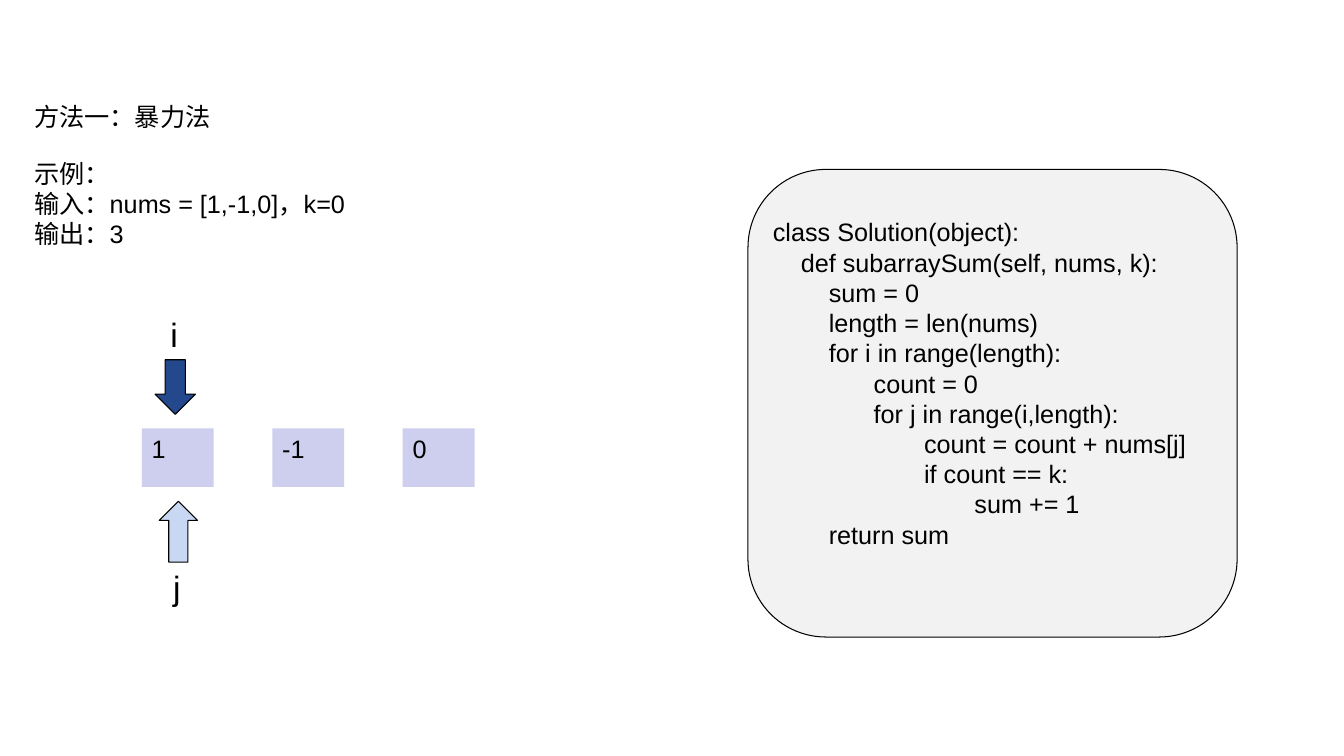
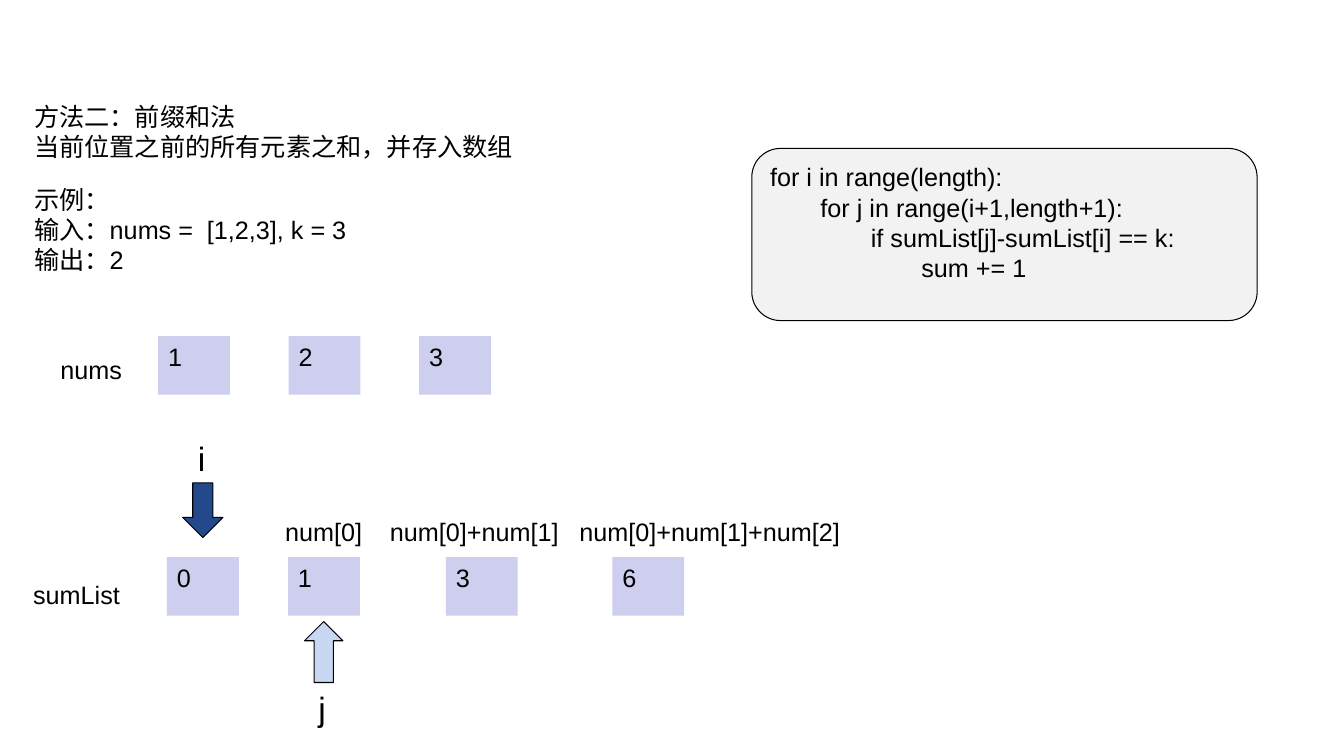
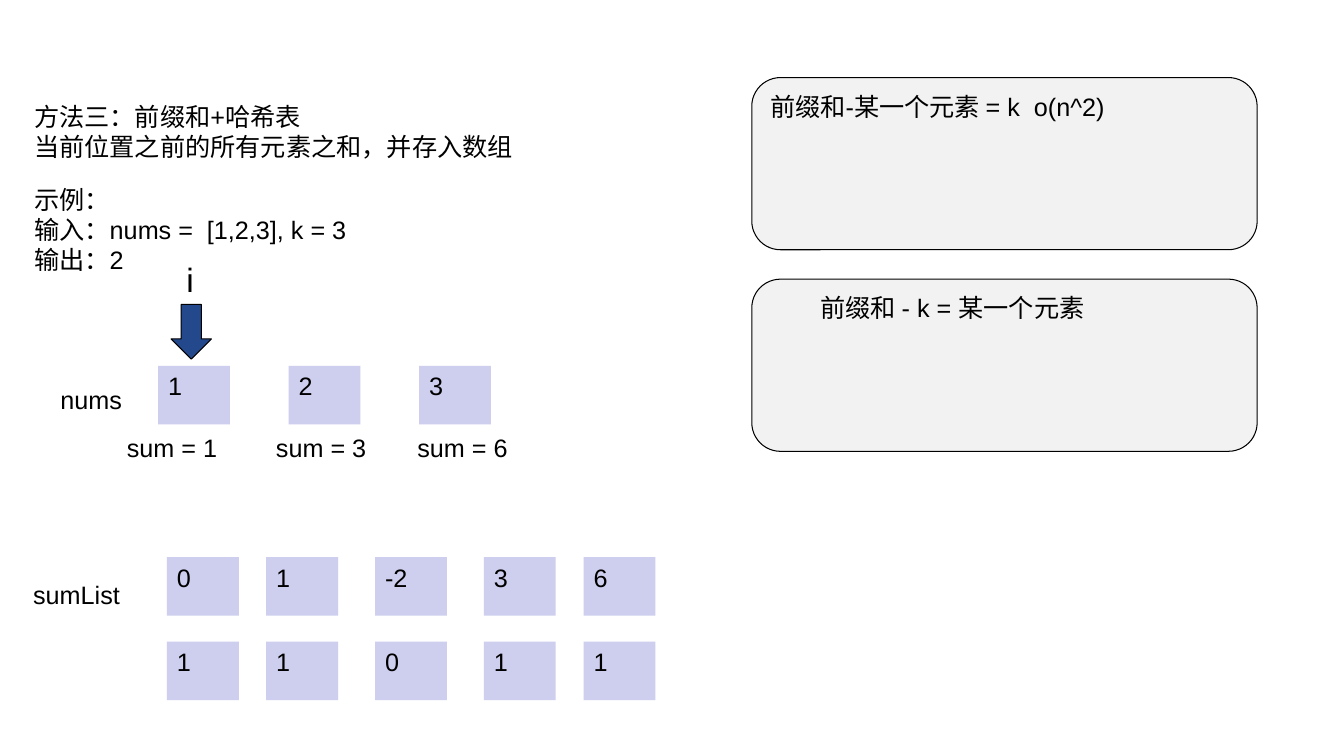
"""Build three slides that explain subarray sums."""
from collections.abc import Sequence
from dataclasses import dataclass

import pptx
import pptx.dml.color
import pptx.enum.shapes
import pptx.enum.text
import pptx.presentation
import pptx.shapes.autoshape
import pptx.shapes.shapetree
import pptx.slide
import pptx.text.text
import pptx.util

Pt = pptx.util.Pt
SHAPE = pptx.enum.shapes.MSO_SHAPE
FONT = "Arial"
INK = "000000"
CELL = "CECEEF"
PANEL = "F2F2F2"
NAVY = "23488C"
SKY = "C9D8F2"
TAB = 36
LABEL = 28.8
STEP = 93.2


@dataclass(frozen=True)
class Box:
    x: float
    y: float
    w: float
    h: float


@dataclass(frozen=True)
class Line:
    text: str
    depth: int = 0


@dataclass(frozen=True)
class Arrow:
    label: str
    kind: pptx.enum.shapes.MSO_SHAPE
    w: float
    h: float
    fill: str
    dx: float
    dy: float


DOWN = Arrow("i", SHAPE.DOWN_ARROW, 28.8, 39, NAVY, 3.8, -36)
UP = Arrow("j", SHAPE.UP_ARROW, 27.4, 43.5, SKY, 2.9, 43.7)

BRUTE = (
    Line("class Solution(object):"),
    Line("    def subarraySum(self, nums, k):"),
    Line("        sum = 0"),
    Line("        length = len(nums)"),
    Line("        for i in range(length):"),
    Line("        \tcount = 0"),
    Line("for j in range(i,length):", 2),
    Line("count = count + nums[j]", 3),
    Line("if count == k:", 3),
    Line("sum += 1", 4),
    Line("        return sum"),
)
PREFIX = (
    Line("for i in range(length):"),
    Line("for j in range(i+1,length+1):", 1),
    Line("if sumList[j]-sumList[i] == k:", 2),
    Line("sum += 1", 3),
)


def hue(code: str) -> pptx.dml.color.RGBColor:
    return pptx.dml.color.RGBColor.from_string(code)


def write(frame: pptx.text.text.TextFrame, lines: Sequence[Line], size: float = 18) -> None:
    frame.word_wrap = True
    frame.vertical_anchor = pptx.enum.text.MSO_ANCHOR.TOP
    for spot, line in enumerate(lines):
        para = frame.add_paragraph() if spot else frame.paragraphs[0]
        para.text = line.text
        para.alignment = pptx.enum.text.PP_ALIGN.LEFT
        if line.depth:
            para.level = line.depth - 1
            props = para._p.get_or_add_pPr()
            props.set("marL", str(Pt(TAB * para.level)))
            props.set("indent", str(Pt(TAB)))
        for run in para.runs:
            run.font.name = FONT
            run.font.size = Pt(size)
            run.font.color.rgb = hue(INK)


def add_text(tree: pptx.shapes.shapetree._BaseGroupShapes, box: Box,
             lines: Sequence[Line], size: float = 18, grow: bool = True) -> None:
    frame = tree.add_textbox(Pt(box.x), Pt(box.y), Pt(box.w), Pt(box.h)).text_frame
    write(frame, lines, size)
    if grow:
        frame.auto_size = pptx.enum.text.MSO_AUTO_SIZE.SHAPE_TO_FIT_TEXT


def add_form(tree: pptx.shapes.shapetree._BaseGroupShapes, kind: pptx.enum.shapes.MSO_SHAPE,
             box: Box, fill: str, edge: bool = True) -> pptx.shapes.autoshape.Shape:
    form = tree.add_shape(kind, Pt(box.x), Pt(box.y), Pt(box.w), Pt(box.h))
    form.shadow.inherit = False
    form.fill.solid()
    form.fill.fore_color.rgb = hue(fill)
    if edge:
        form.line.color.rgb = hue(INK)
        form.line.width = Pt(0.75)
    else:
        form.line.fill.background()
    return form


def add_cells(slide: pptx.slide.Slide, lefts: Sequence[float], top: float,
              words: Sequence[str]) -> None:
    for left, word in zip(lefts, words):
        cell = add_form(slide.shapes, SHAPE.RECTANGLE, Box(left, top, 51.3, 41.8), CELL, False)
        write(cell.text_frame, [Line(word)])


def add_arrow(slide: pptx.slide.Slide, arrow: Arrow, x: float, y: float) -> None:
    tree = slide.shapes.add_group_shape().shapes
    add_form(tree, arrow.kind, Box(x, y, arrow.w, arrow.h), arrow.fill)
    add_text(tree, Box(x + arrow.dx, y + arrow.dy, 24.5, 36), [Line(arrow.label)], 24)


def add_panel(slide: pptx.slide.Slide, top: float, lines: Sequence[Line]) -> None:
    panel = add_form(slide.shapes, SHAPE.ROUNDED_RECTANGLE, Box(537, top, 361, 123), PANEL)
    write(panel.text_frame, lines)


def add_note(slide: pptx.slide.Slide, x: float, y: float, w: float, text: str) -> None:
    add_text(slide.shapes, Box(x, y, w, LABEL), [Line(text)])


def add_row(left: float) -> list[float]:
    return [left + STEP * spot for spot in range(3)]


def start(deck: pptx.presentation.Presentation, heads: Sequence[str], top: float,
          given: str, answer: str) -> pptx.slide.Slide:
    slide = deck.slides.add_slide(deck.slide_layouts[6])
    add_text(slide.shapes, Box(17.3, 69, 440, LABEL + 22 * (len(heads) - 1)),
             [Line(head) for head in heads])
    add_text(slide.shapes, Box(17.3, top, 480, 85),
             [Line("示例："), Line("输入：" + given), Line("输出：" + answer)], grow=False)
    return slide


def draw_brute(deck: pptx.presentation.Presentation) -> None:
    slide = start(deck, ["方法一：暴力法"], 109.3, "nums = [1,-1,0]，k=0", "3")
    add_cells(slide, add_row(101.3), 306, ["1", "-1", "0"])
    add_arrow(slide, DOWN, 110.8, 257)
    add_arrow(slide, UP, 113.7, 358)
    add_form(slide.shapes, SHAPE.ROUNDED_RECTANGLE, Box(534.3, 121, 349.4, 334), PANEL)
    add_text(slide.shapes, Box(545, 151.2, 339, 247), BRUTE)


def start_sums(deck: pptx.presentation.Presentation, head: str, top: float) -> pptx.slide.Slide:
    slide = start(deck, [head, "当前位置之前的所有元素之和，并存入数组"], 128,
                  "nums =  [1,2,3], k = 3", "2")
    add_cells(slide, add_row(113), top, ["1", "2", "3"])
    add_note(slide, 36, top + 9.8, 69, "nums")
    add_note(slide, 16.6, 410.4, 96.5, "sumList")
    return slide


def draw_prefix(deck: pptx.presentation.Presentation) -> None:
    slide = start_sums(deck, "方法二：前缀和法", 240)
    add_arrow(slide, DOWN, 130.5, 345)
    add_arrow(slide, UP, 217.5, 444)
    add_panel(slide, 106, PREFIX)
    add_cells(slide, [119.3, 205.8, 318.5, 437.5], 398, ["0", "1", "3", "6"])
    for left, wide, text in ((196.6, 80.6, "num[0]"), (271.4, 145.4, "num[0]+num[1]"),
                             (406.8, 205.2, "num[0]+num[1]+num[2]")):
        add_note(slide, left, 365, wide, text)


def draw_hash(deck: pptx.presentation.Presentation) -> None:
    slide = start_sums(deck, "方法三：前缀和+哈希表", 261.3)
    add_panel(slide, 55.4, [Line("前缀和-某一个元素 = k  o(n^2)")])
    add_panel(slide, 199.4, [Line("前缀和 - k = 某一个元素", 1)])
    add_arrow(slide, DOWN, 122.2, 217.5)
    lefts = [119.3, 190.2, 268, 345.7, 416.9]
    add_cells(slide, lefts, 398, ["0", "1", "-2", "3", "6"])
    add_cells(slide, lefts, 458.3, ["1", "1", "0", "1", "1"])
    for left, total in ((83.5, 1), (190, 3), (291, 6)):
        add_note(slide, left, 305.3, 106, f"sum = {total}")


def main() -> None:
    deck = pptx.Presentation()
    deck.slide_width = Pt(960)
    deck.slide_height = Pt(540)
    draw_brute(deck)
    draw_prefix(deck)
    draw_hash(deck)
    deck.save("out.pptx")


if __name__ == "__main__":
    main()
